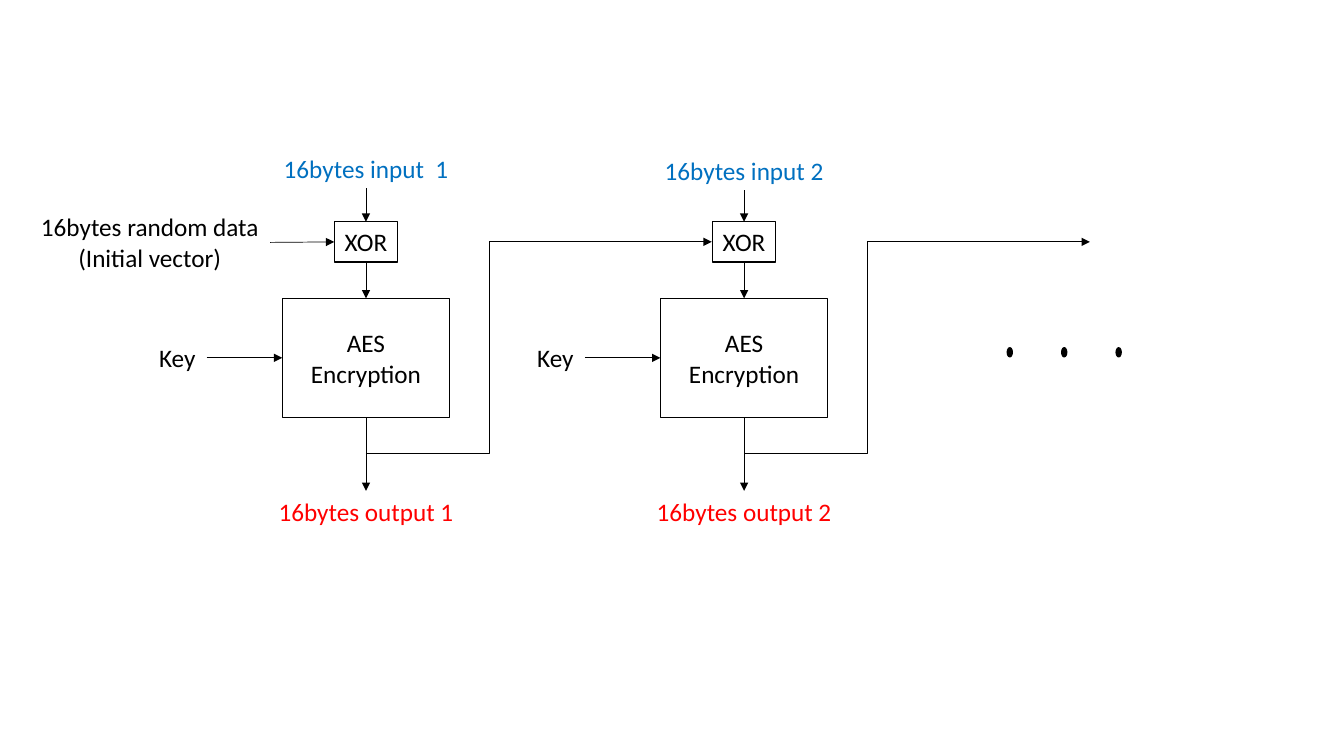
from lxml.etree import SubElement
from pptx import Presentation
from pptx.dml.color import RGBColor
from pptx.enum.shapes import MSO_CONNECTOR, MSO_SHAPE
from pptx.enum.text import MSO_ANCHOR, MSO_AUTO_SIZE, PP_ALIGN
from pptx.oxml.ns import qn
from pptx.util import Inches, Pt

COLORS = {"ink": "000000", "input": "0070C0", "output": "FF0000"}
TOP, LEFT, BOTTOM, RIGHT = range(4)


def color(name):
    return RGBColor.from_string(COLORS[name])


def write(frame, text, tint="ink", align=PP_ALIGN.CENTER):
    frame.text = text
    for para in frame.paragraphs:
        para.alignment = align
        para.font.name = "Calibri"
        para.font.size = Pt(18)
        para.font.color.rgb = color(tint)


def add_label(slide, text, x, y, w, h=0.4, tint="ink", align=PP_ALIGN.CENTER, wrap=True):
    label = slide.shapes.add_textbox(Inches(x), Inches(y), Inches(w), Inches(h))
    label.text_frame.word_wrap = wrap
    label.text_frame.auto_size = MSO_AUTO_SIZE.SHAPE_TO_FIT_TEXT
    write(label.text_frame, text, tint, align)
    return label


def add_box(slide, text, x, y, w, h, width, wrap=True):
    box = slide.shapes.add_shape(
        MSO_SHAPE.RECTANGLE, Inches(x), Inches(y), Inches(w), Inches(h))
    box.shadow.inherit = False
    box.fill.background()
    box.line.color.rgb = color("ink")
    box.line.width = Pt(width)
    box.text_frame.word_wrap = wrap
    box.text_frame.vertical_anchor = MSO_ANCHOR.MIDDLE
    write(box.text_frame, text)
    return box


def add_dot(slide, x, y):
    dot = slide.shapes.add_shape(
        MSO_SHAPE.OVAL, Inches(x), Inches(y), Inches(0.05), Inches(0.09))
    dot.shadow.inherit = False
    dot.fill.solid()
    dot.fill.fore_color.rgb = color("ink")
    dot.line.color.rgb = color("ink")
    dot.line.width = Pt(1)


def add_arrow(slide, kind, x1=0, y1=0, x2=0, y2=0):
    arrow = slide.shapes.add_connector(
        kind, Inches(x1), Inches(y1), Inches(x2), Inches(y2))
    arrow.line.color.rgb = color("ink")
    arrow.line.width = Pt(0.5)
    SubElement(arrow.line._get_or_add_ln(), qn("a:tailEnd"), type="triangle")
    SubElement(arrow._element.spPr, qn("a:effectLst"))
    return arrow


def join(slide, start, side, end, entry):
    arrow = add_arrow(slide, MSO_CONNECTOR.STRAIGHT)
    arrow.begin_connect(start, side)
    arrow.end_connect(end, entry)


def add_chain(slide, mid):
    arrow = add_arrow(slide, MSO_CONNECTOR.ELBOW, mid, 4.5, mid + 3.43, 2.4)
    guides = arrow._element.spPr.find(qn("a:prstGeom")).get_or_add_avLst()
    SubElement(guides, qn("a:gd"), name="adj1", fmla="val 35600")


def add_stage(slide, mid, text, y, w, number):
    source = add_label(slide, text, mid - w / 2, y, w, tint="input")
    xor = add_box(slide, "XOR", mid - 0.315, 2.2, 0.63, 0.4, 0.75, wrap=False)
    cipher = add_box(slide, "AES\vEncryption", mid - 0.83, 2.96, 1.66, 1.18, 1)
    key = add_label(slide, "Key", mid - 2.15, 3.35, 0.57,
                    align=PP_ALIGN.LEFT, wrap=False)
    output = add_label(slide, f"16bytes output {number}", mid - 0.98, 4.87, 1.96,
                       tint="output", wrap=False)
    join(slide, source, BOTTOM, xor, TOP)
    join(slide, xor, BOTTOM, cipher, TOP)
    join(slide, key, RIGHT, cipher, LEFT)
    join(slide, cipher, BOTTOM, output, TOP)
    add_chain(slide, mid)
    return xor


def main():
    deck = Presentation()
    deck.slide_width, deck.slide_height = Inches(13.33), Inches(7.5)
    slide = deck.slides.add_slide(deck.slide_layouts[6])
    first = add_stage(slide, 3.63, "16bytes input  1", 1.47, 2.01, 1)
    add_stage(slide, 7.38, "16bytes input 2", 1.49, 2.13, 2)
    vector = add_label(slide, "16bytes random data\v(Initial vector)",
                       0.29, 2.05, 2.39, 0.71)
    join(slide, vector, RIGHT, first, LEFT)
    for step in range(3):
        add_dot(slide, 9.99 + 0.54 * step, 3.45)
    deck.save("out.pptx")


if __name__ == "__main__":
    main()
